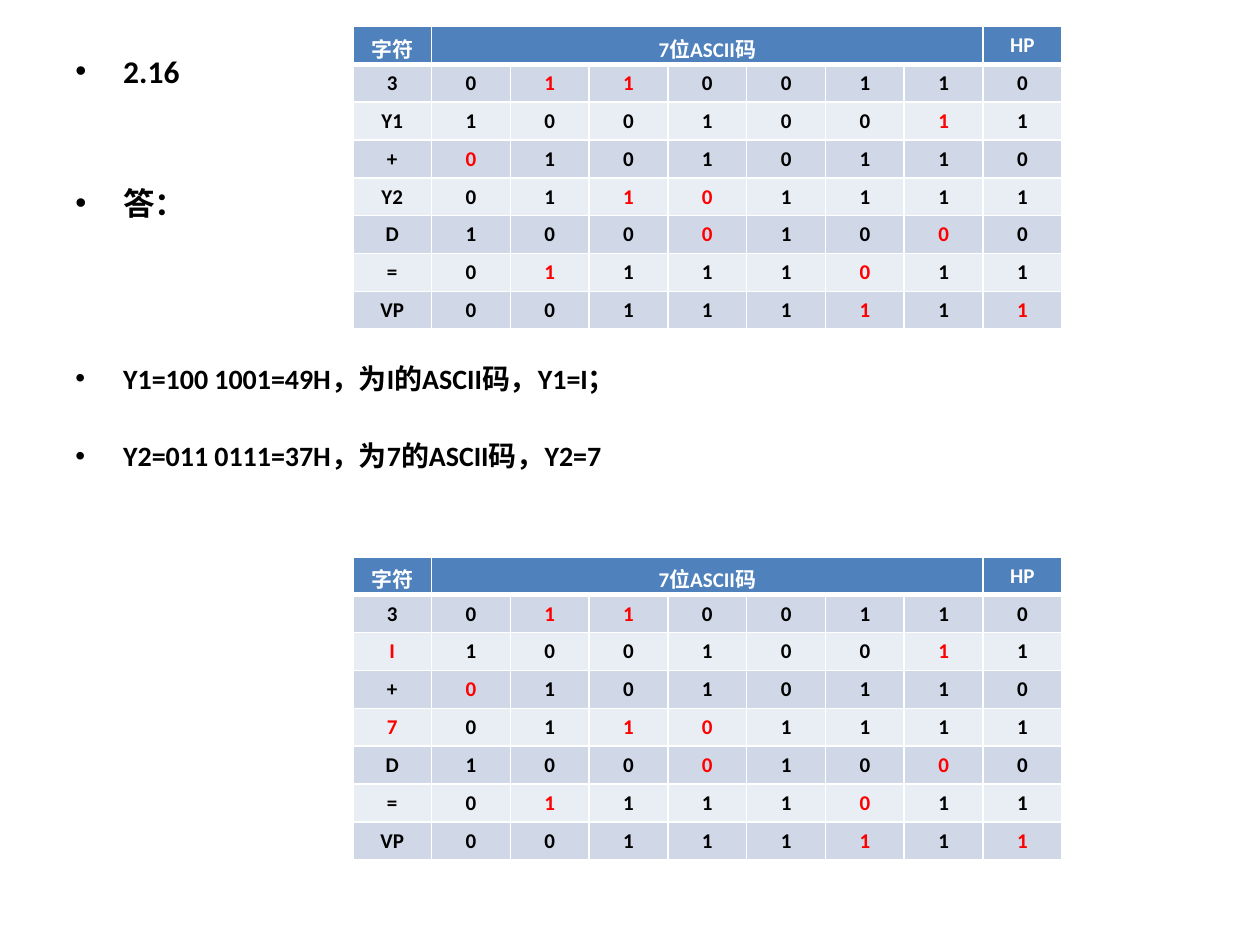
from lxml import etree
from pptx import Presentation, util as u
from pptx.dml.color import RGBColor
from pptx.enum import text
from pptx.oxml.ns import qn

COLORS = {"ink": "000000", "red": "FF0000", "white": "FFFFFF",
          "header": "4F81BD", "band_dark": "D0D8E8", "band_light": "E9EDF4"}

# A star after a value marks it as a recovered (red) value.
CODE_ROWS = [
    "3 0 1* 1* 0 0 1 1 0",
    "{y1} 1 0 0 1 0 0 1* 1",
    "+ 0* 1 0 1 0 1 1 0",
    "{y2} 0 1 1* 0* 1 1 1 1",
    "D 1 0 0 0* 1 0 0* 0",
    "= 0 1* 1 1 1 0* 1 1",
    "VP 0 0 1 1 1 1* 1 1*",
]

# Text, size and space before, both in points
ANSWER_LINES = [
    ("2.16", 18, 0),
    ("答：", 18, 54),
    ("Y1=100 1001=49H，为I的ASCII码，Y1=I；", 16, 80),
    ("Y2=011 0111=37H，为7的ASCII码，Y2=7", 16, 25),
]


class SlideBuilder:
    font = "Calibri"

    def __init__(self, prs):
        self.s = prs.slides.add_slide(prs.slide_layouts[6])

    def run(self, p, words, size, color):
        r = p.add_run()
        r.text = words
        r.font.name, r.font.size, r.font.bold = self.font, u.Pt(size), True
        r.font.color.rgb = RGBColor.from_string(COLORS[color])

    def bullets(self, left, top, width, height, lines):
        sp = self.s.shapes.add_textbox(*map(u.Inches, (left, top, width, height)))
        tf = sp.text_frame
        tf.word_wrap = True
        for i, (words, size, before) in enumerate(lines):
            p = tf.add_paragraph() if i else tf.paragraphs[0]
            pPr = p._p.get_or_add_pPr()
            pPr.set("marL", str(u.Inches(0.38)))
            pPr.set("indent", str(-u.Inches(0.38)))
            etree.SubElement(pPr, qn("a:buFont"), typeface="Arial")
            etree.SubElement(pPr, qn("a:buChar"), char="•")
            if before:
                p.space_before = u.Pt(before)
            self.run(p, words, size, "ink")

    def borders(self, cell, **widths):
        """Draw white edges; widths in points are keyed by L, R, T and B."""
        tcPr = cell._tc.get_or_add_tcPr()
        for i, side in enumerate("LRTB"):
            ln = etree.Element(qn(f"a:ln{side}"), w=str(u.Pt(widths.get(side, 1))))
            fill = etree.SubElement(ln, qn("a:solidFill"))
            etree.SubElement(fill, qn("a:srgbClr"), val=COLORS["white"])
            tcPr.insert(i, ln)

    def cell(self, cell, words, color, fill, **widths):
        cell.fill.solid()
        cell.fill.fore_color.rgb = RGBColor.from_string(COLORS[fill])
        self.borders(cell, **widths)
        if words:
            p = cell.text_frame.paragraphs[0]
            p.alignment = text.PP_ALIGN.CENTER
            self.run(p, words, 12, color)

    def code_table(self, left, top, y1, y2):
        rows = [row.format(y1=y1, y2=y2).split() for row in CODE_ROWS]
        header = ["字符", "7位ASCII码"] + [""] * 6 + ["HP"]
        table = self.s.shapes.add_table(
            len(rows) + 1, len(header), u.Inches(left), u.Inches(top),
            u.Inches(5.63), u.Inches(2.4)).table
        table.horz_banding = False
        table.cell(0, 1).merge(table.cell(0, 7))
        for c, words in enumerate(header):
            self.cell(table.cell(0, c), words, "white", "header", B=3)
        for n, row in enumerate(rows, 1):
            fill = "band_dark" if n % 2 else "band_light"
            for c, value in enumerate(row):
                self.cell(table.cell(n, c), value.rstrip("*"),
                          "red" if value.endswith("*") else "ink",
                          fill, T=3 if n == 1 else 1)


def main():
    prs = Presentation()
    prs.slide_width, prs.slide_height = u.Inches(10), u.Inches(7.5)
    b = SlideBuilder(prs)
    b.bullets(0.5, 0.36, 9, 4.95, ANSWER_LINES)
    b.code_table(2.8, 0.21, "Y1", "Y2")
    b.code_table(2.8, 4.42, "I*", "7*")
    prs.save("out.pptx")


if __name__ == "__main__":
    main()
